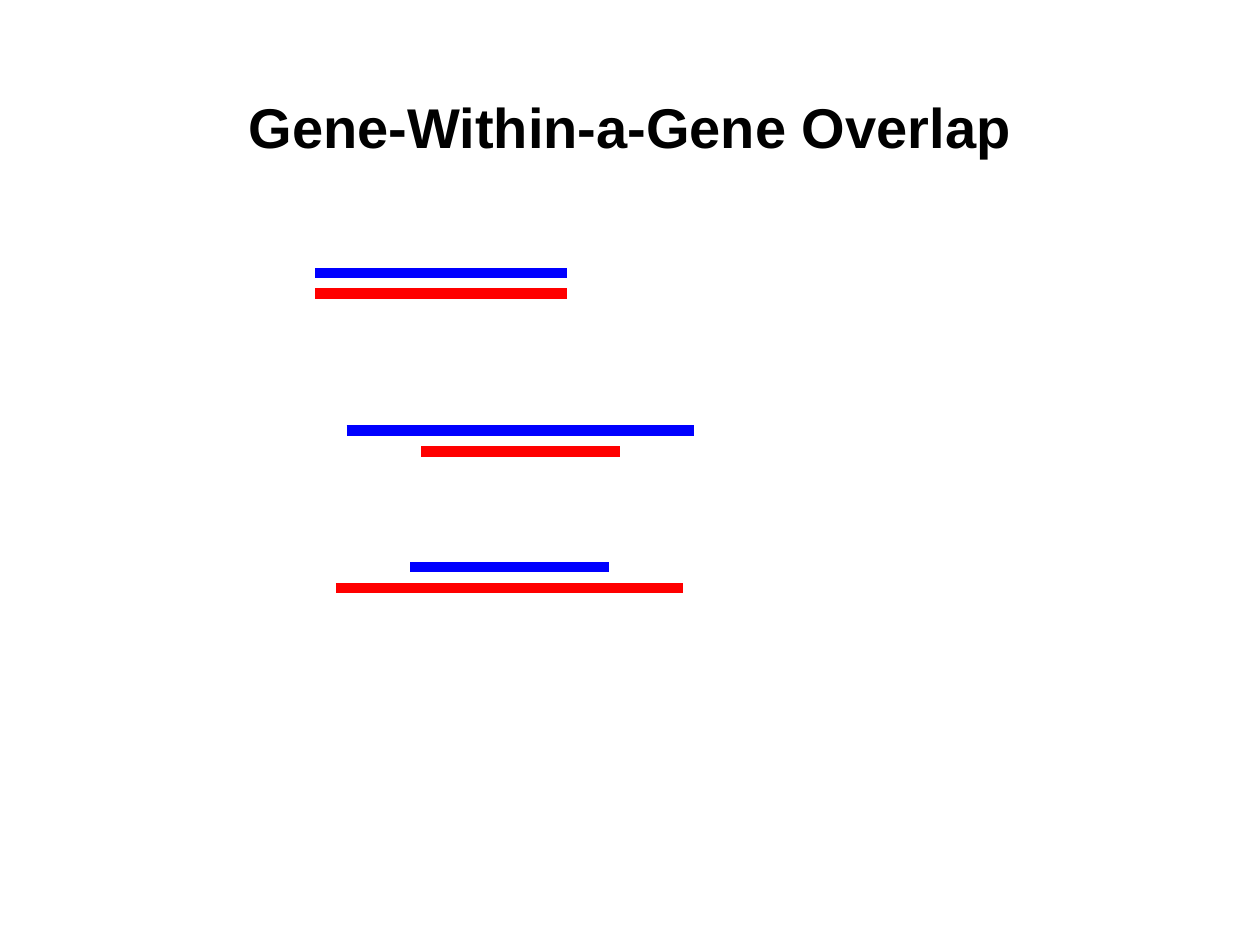
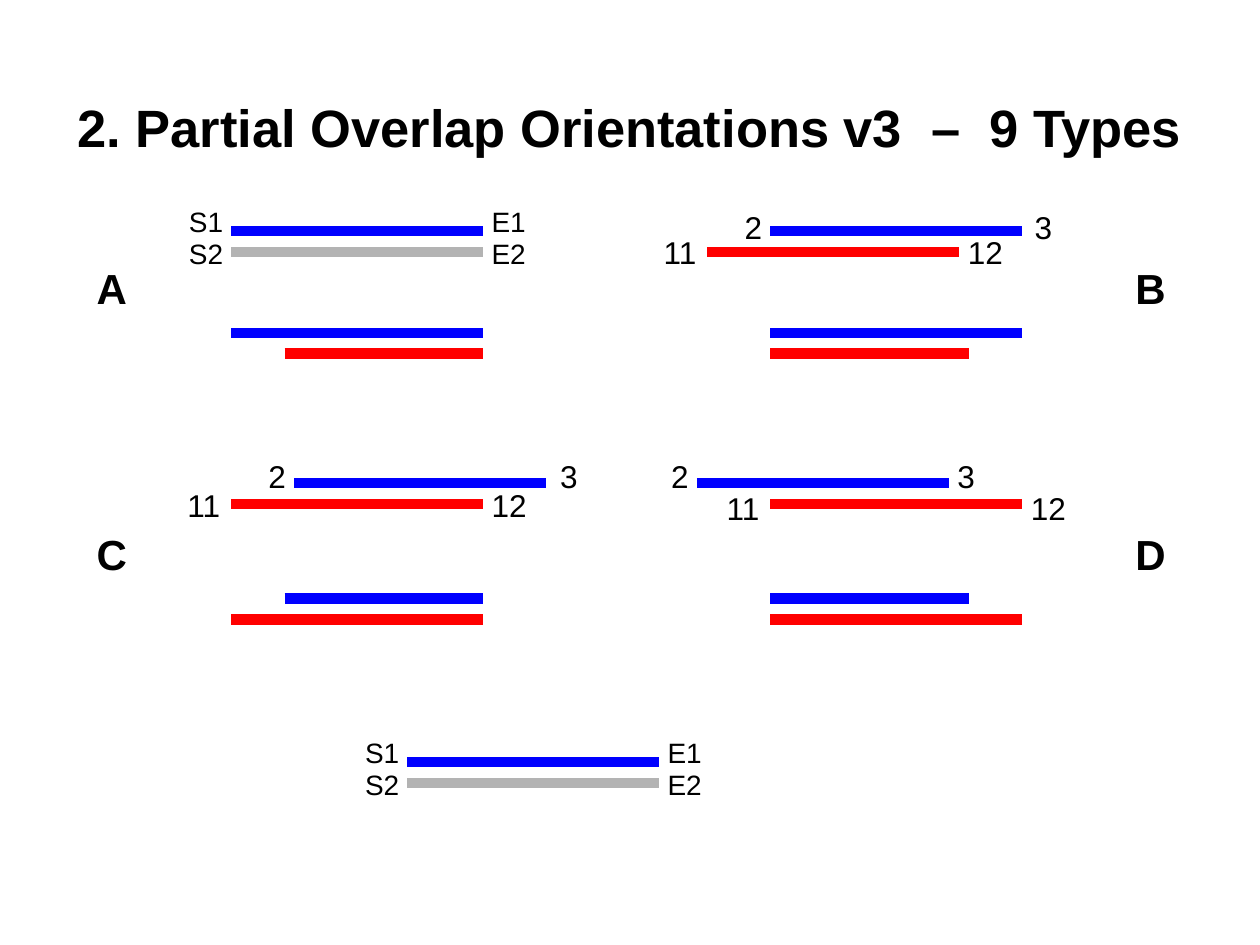
import pptx
import pptx.util
import pptx.dml.color
import pptx.enum.shapes
import pptx.enum.text
import pptx.oxml

Cm = pptx.util.Cm
PP_ALIGN = pptx.enum.text.PP_ALIGN
FONT = "Arial"
BLACK, BLUE, RED, GREY = "000000", "0000FF", "FF0000", "B3B3B3"
SLIDE_W, SLIDE_H = 25.4, 19.05
BAR, SHORT_BAR, LONG_BAR = 5.08, 4.0, 7.0
BAR_GAP = 0.42
BAR_WIDTH = 6
SHORT_SHIFT = BAR - SHORT_BAR
CENTRE_SHIFT = (LONG_BAR - SHORT_BAR) / 2
COLUMNS = (4.66, 15.53)
ROWS = (4.66, 9.74)
LETTER_SHIFTS = (-2.96, 7.11)
PAIR_DROPS = (2.05, 2.33)


def rgb(value):
    return pptx.dml.color.RGBColor.from_string(value)


def add_text(s, x, y, w, h, text, size, bold=False, align=PP_ALIGN.LEFT, wrap=False):
    tf = s.shapes.add_textbox(Cm(x), Cm(y), Cm(w), Cm(h)).text_frame
    tf.word_wrap = wrap
    tf.vertical_anchor = pptx.enum.text.MSO_ANCHOR.MIDDLE
    p = tf.paragraphs[0]
    p.text = text
    p.alignment = align
    r = p.runs[0]
    r.font.name = FONT
    r.font.size = pptx.util.Pt(size)
    r.font.bold = bold
    r.font.color.rgb = rgb(BLACK)


def add_title(s, text, size, width):
    add_text(s, (SLIDE_W - width) / 2, 1.7, width, 1.7, text, size, True, PP_ALIGN.CENTER, True)


def add_bar(s, x, y, length, colour):
    line = s.shapes.add_connector(
        pptx.enum.shapes.MSO_CONNECTOR.STRAIGHT, Cm(x), Cm(y), Cm(x + length), Cm(y))
    line.line.color.rgb = rgb(colour)
    line.line.width = pptx.util.Pt(BAR_WIDTH)
    pr = line._element.spPr
    pr.append(pptx.oxml.parse_xml(
        '<a:effectLst xmlns:a="http://schemas.openxmlformats.org/drawingml/2006/main"/>'))


def add_pair(s, x, y, upper, lower, lower_colour=RED):
    for row, ((shift, length), colour) in enumerate(zip((upper, lower), (BLUE, lower_colour))):
        add_bar(s, x + shift, y + row * BAR_GAP, length, colour)


def add_ends(s, x, y, start, end, width, size, gap=-0.08):
    height = size * 0.056
    add_text(s, x + 0.09 - width, y, width, height, start, size)
    add_text(s, x + BAR + gap, y, width, height, end, size)


def add_key(s, x, y):
    add_pair(s, x, y, (0, BAR), (0, BAR), GREY)
    for number, top in ((1, y - 0.64), (2, y)):
        add_ends(s, x, top, f"S{number}", f"E{number}", 1.19, 16)


def add_numbered_pair(s, x, y, shifts, drops, upper_gap):
    add_pair(s, x, y, *((shift, BAR) for shift in shifts))
    add_ends(s, x + shifts[0], y + drops[0], "2", "3", 0.86, 18, upper_gap)
    add_ends(s, x + shifts[1], y + drops[1], "11", "12", 1.22, 18)


def add_panel(s, letter, column, row, upper, lower):
    x, y, drop = COLUMNS[column], ROWS[row], PAIR_DROPS[row]
    add_text(s, x + LETTER_SHIFTS[column], y + drop - 1.54, 1.17, 1.27, letter, 24, True)
    add_pair(s, x, y + drop, upper, lower)
    return x, y


def build_within_slide(s):
    add_title(s, "Gene-Within-a-Gene Overlap", 32, 21.6)
    full, inner, outer = (0, BAR), (CENTRE_SHIFT, SHORT_BAR), (0, LONG_BAR)
    add_pair(s, 6.35, 5.5, full, full)
    add_pair(s, 6.99, 8.68, outer, inner)
    add_pair(s, 6.77, 11.43, inner, outer)


def build_partial_slide(s):
    add_title(s, "2. Partial Overlap Orientations v3  –  9 Types", 30, 23.4)
    full, left, right = (0, BAR), (0, SHORT_BAR), (SHORT_SHIFT, SHORT_BAR)
    add_key(s, *add_panel(s, "A", 0, 0, full, right))
    numbered_panels = (
        ("B", 1, 0, full, left, (0, -1.27), (-0.58, -0.08), 0),
        ("C", 0, 1, right, full, (1.27, 0), (-0.64, -0.06), 0.03),
        ("D", 1, 1, left, full, (-1.48, 0), (-0.64, 0), -0.08),
    )
    for letter, column, row, upper, lower, shifts, drops, upper_gap in numbered_panels:
        x, y = add_panel(s, letter, column, row, upper, lower)
        add_numbered_pair(s, x, y, shifts, drops, upper_gap)
    add_key(s, 8.21, 15.36)


def main():
    prs = pptx.Presentation()
    prs.slide_width, prs.slide_height = Cm(SLIDE_W), Cm(SLIDE_H)
    for build in (build_within_slide, build_partial_slide):
        build(prs.slides.add_slide(prs.slide_layouts[6]))
    prs.save("out.pptx")


if __name__ == "__main__":
    main()
